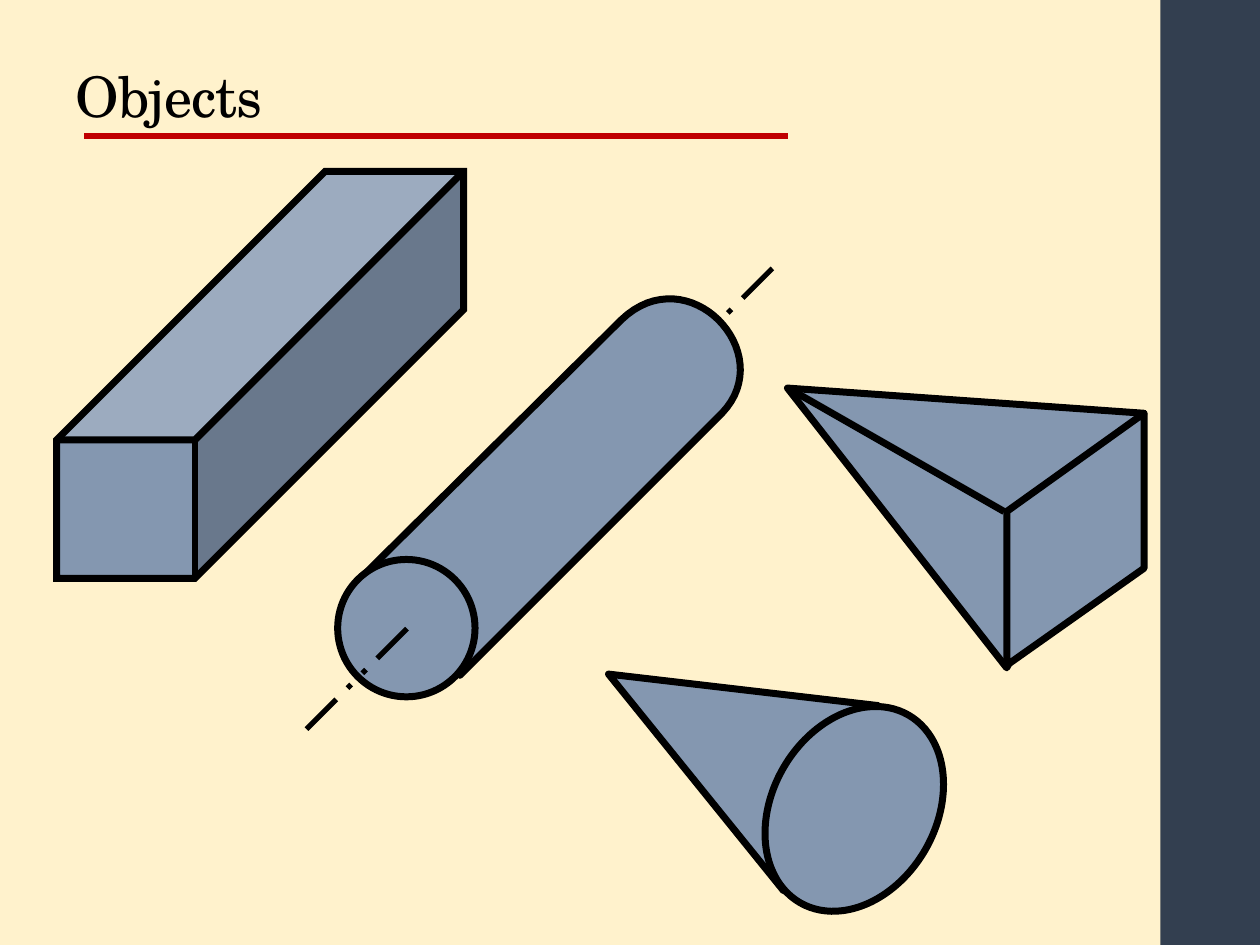
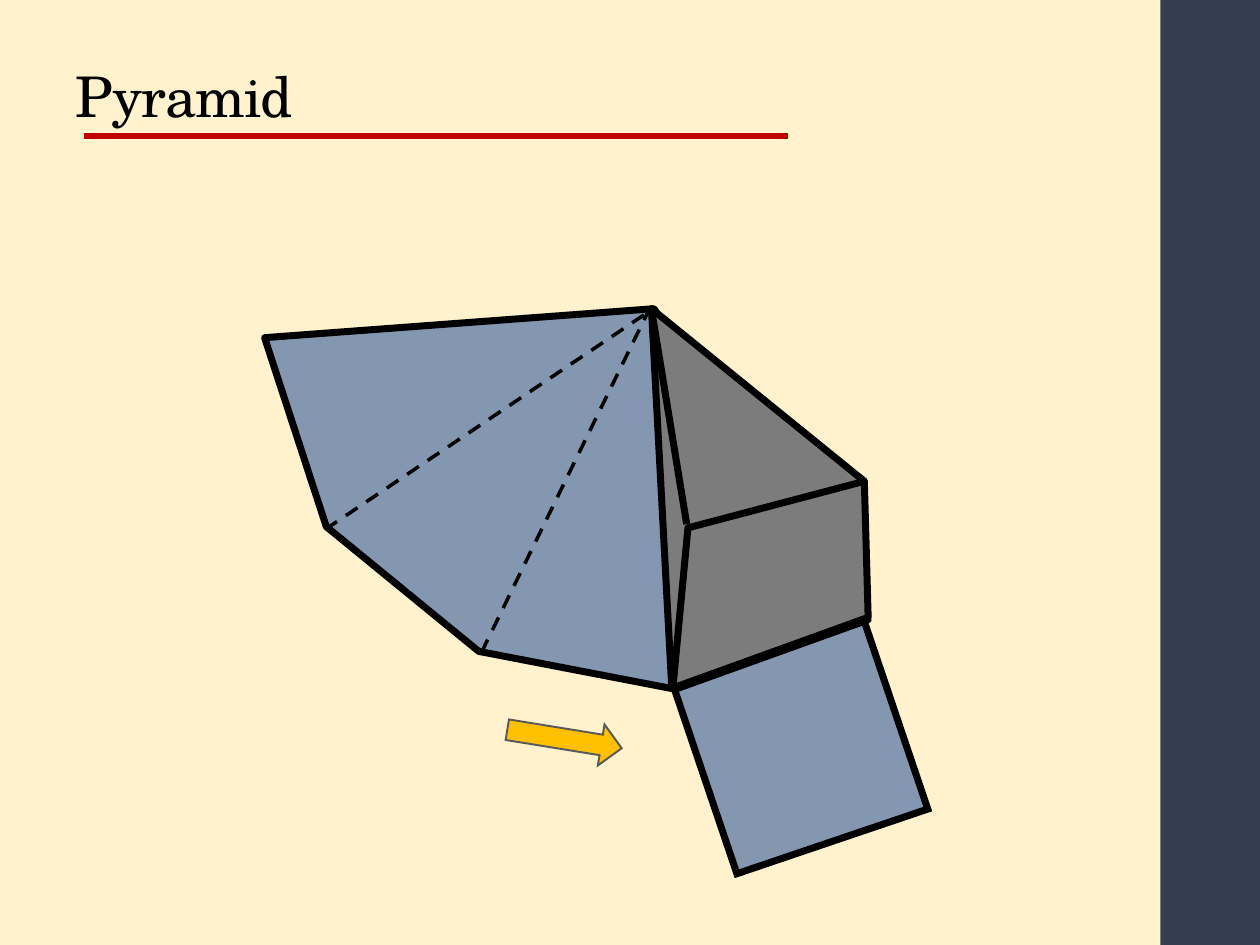
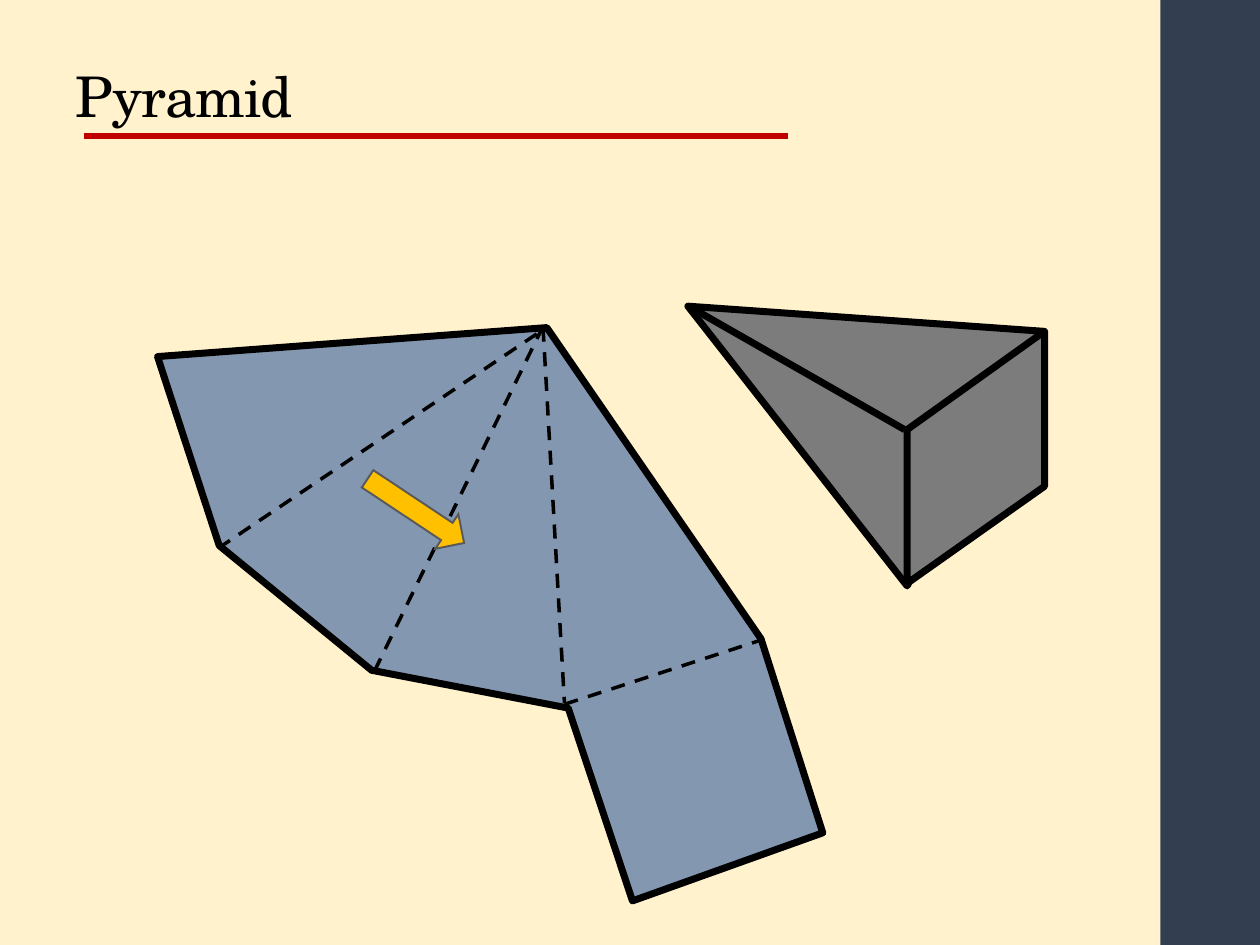
from dataclasses import dataclass
from typing import Any

from lxml.etree import SubElement
from pptx import Presentation
from pptx.dml.color import RGBColor
from pptx.enum.dml import MSO_LINE
from pptx.enum.shapes import MSO_CONNECTOR, MSO_SHAPE
from pptx.enum.text import MSO_ANCHOR, PP_ALIGN
from pptx.oxml.ns import qn
from pptx.util import Inches, Pt

# Grid: 100 columns by 75 rows of square cells
COLUMNS, ROWS = 100, 75
WIDTH, HEIGHT = Inches(10), Inches(7.5)
CELL = WIDTH // COLUMNS

CREAM, NAVY, RED = "FFF2CC", "333F50", "C00000"
BLUE, GREY, GOLD = "8497B0", "7C7C7C", "FFC000"
BLACK, DARK_GREY = "000000", "595959"
TITLE_FONT = "TeX Gyre Schola"
EDGE_WIDTH = 4

Point = tuple[float, float]


@dataclass(frozen=True)
class Frame:
    left: float
    top: float
    width: float
    height: float

    def lengths(self) -> list[int]:
        return [cells(value) for value in (self.left, self.top, self.width, self.height)]


@dataclass(frozen=True)
class Stroke:
    color: str = BLACK
    width: float = EDGE_WIDTH
    dash: Any = None
    join: str = "round"


EDGE = Stroke()
SHARP_EDGE = Stroke(join="miter")
FOLD = Stroke(width=2, dash=MSO_LINE.DASH)
AXIS = Stroke(width=3, dash=MSO_LINE.DASH_DOT_DOT)
RULE = Stroke(RED, 3)
ARROW_EDGE = Stroke(DARK_GREY, 1.1, join="miter")

TITLE_FRAME = Frame(5, 0.8, 79.5, 10)
BAND_FRAME = Frame(92.1, 0, 7.9, ROWS)

# Pyramid net, relative to its apex
NET_FACES = [(-26, 17.3), (-30.9, 2.3), (0, 0), (17, 24.7)]
NET_BASE = [(21.9, 40.1), (6.8, 45.5)]
NET_FOOT = [(1.7, 30.2), (-13.9, 27.2)]
NET_FOLDS = [((-0.8, 0.5), (-25.9, 17.4)),
             ((-0.3, -0.1), (-13.6, 27.1)),
             ((-0.3, 0), (1.4, 29.8))]
BASE_FOLD = ((1.4, 29.9), (17, 24.8))

# Standing pyramid, relative to its apex
PYRAMID_SIDE = [(28.3, 2), (0, 0), (17.4, 22.2)]
PYRAMID_BASE = [(28.3, 2), (17.4, 9.8), (17.4, 22), (28.3, 14.3)]
PYRAMID_RIDGE = ((17.2, 9.8), (0.4, 0.2))


def cells(count: float) -> int:
    return round(count * CELL)


def rgb(color: str) -> RGBColor:
    return RGBColor.from_string(color)


def moved(points: list[Point] | tuple[Point, ...], origin: Point) -> list[Point]:
    return [(origin[0] + x, origin[1] + y) for x, y in points]


def curve(start: Point, first: Point, second: Point, end: Point, steps: int = 32) -> list[Point]:
    """Points along a cubic Bezier curve."""
    points = []
    for step in range(steps + 1):
        t = step / steps
        weights = ((1 - t) ** 3, 3 * t * (1 - t) ** 2, 3 * t * t * (1 - t), t ** 3)
        x, y = (sum(weight * point[axis] for weight, point
                    in zip(weights, (start, first, second, end))) for axis in (0, 1))
        points.append((x, y))
    return points


# Drawing tools
def set_stroke(shape: Any, stroke: Stroke) -> None:
    shape.line.color.rgb = rgb(stroke.color)
    shape.line.width = Pt(stroke.width)
    if stroke.dash is not None:
        shape.line.dash_style = stroke.dash
    outline = shape.element.spPr.find(qn("a:ln"))
    join = SubElement(outline, qn(f"a:{stroke.join}"))
    if stroke.join == "miter":
        join.set("lim", "800000")


def set_look(shape: Any, fill: str, stroke: Stroke | None) -> None:
    shape.shadow.inherit = False
    shape.fill.solid()
    shape.fill.fore_color.rgb = rgb(fill)
    if stroke is None:
        shape.line.fill.background()
    else:
        set_stroke(shape, stroke)


def draw_shape(shapes: Any, kind: MSO_SHAPE, frame: Frame, fill: str,
               stroke: Stroke | None = SHARP_EDGE, rotation: float = 0) -> Any:
    shape = shapes.add_shape(kind, *frame.lengths())
    set_look(shape, fill, stroke)
    shape.rotation = rotation
    return shape


def draw_polygon(shapes: Any, points: list[Point], fill: str) -> None:
    start, *rest = [(cells(x), cells(y)) for x, y in points]
    builder = shapes.build_freeform(*start)
    builder.add_line_segments(rest, close=True)
    set_look(builder.convert_to_shape(), fill, EDGE)


def draw_line(shapes: Any, start: Point, end: Point, stroke: Stroke) -> Any:
    ends = [cells(value) for value in (*start, *end)]
    line = shapes.add_connector(MSO_CONNECTOR.STRAIGHT, *ends)
    set_stroke(line, stroke)
    SubElement(line.element.spPr, qn("a:effectLst"))
    return line


def draw_arrow(shapes: Any, left: float, top: float, rotation: float) -> None:
    draw_shape(shapes, MSO_SHAPE.RIGHT_ARROW, Frame(left, top, 9.2, 3.3),
               GOLD, ARROW_EDGE, rotation)


def draw_pyramid(shapes: Any, apex: Point, fill: str) -> None:
    draw_polygon(shapes, moved(PYRAMID_SIDE, apex), fill)
    draw_line(shapes, *moved(PYRAMID_RIDGE, apex), EDGE)
    draw_polygon(shapes, moved(PYRAMID_BASE, apex), fill)


def draw_net(shapes: Any, apex: Point, with_base: bool) -> None:
    outline = NET_FACES + (NET_BASE if with_base else []) + NET_FOOT
    draw_polygon(shapes, moved(outline, apex), BLUE)
    for fold in NET_FOLDS + ([BASE_FOLD] if with_base else []):
        draw_line(shapes, *moved(fold, apex), FOLD)


# Shared page parts
def add_page(deck: Any, title: str) -> Any:
    page = deck.slides.add_slide(deck.slide_layouts[5])
    box = page.shapes.title
    box.left, box.top, box.width, box.height = TITLE_FRAME.lengths()
    frame = box.text_frame
    frame.text = title
    frame.word_wrap = True
    frame.vertical_anchor = MSO_ANCHOR.BOTTOM
    para = frame.paragraphs[0]
    para.alignment = PP_ALIGN.LEFT
    para.line_spacing = 0.9
    span = para.runs[0]
    span.font.name = TITLE_FONT
    span.font.size = Pt(32)
    span.font.color.rgb = rgb(BLACK)
    span.font._element.set("spc", "-50")
    return page


def decorate_layout(deck: Any) -> None:
    """Give the layout its background, side band and title rule."""
    page = deck.slides[0]
    layout = page.slide_layout
    layout.background.fill.solid()
    layout.background.fill.fore_color.rgb = rgb(CREAM)
    band = draw_shape(page.shapes, MSO_SHAPE.RECTANGLE, BAND_FRAME, NAVY, None)
    rule = draw_line(page.shapes, (6.7, 10.8), (62.5, 10.8), RULE)
    for part in (rule, band):
        layout.shapes.element.insert(2, part.element)


# Slides
def add_objects(deck: Any) -> None:
    shapes = add_page(deck, "Objects").shapes
    bar = draw_shape(shapes, MSO_SHAPE.CUBE, Frame(4.5, 13.6, 32.3, 32.3), BLUE)
    bar.adjustments[0] = 0.66

    # Cylinder with its axis
    draw_line(shapes, (61.3, 21.3), (52.9, 29.7), AXIS)
    far_end = curve((49.3, 25.4), (54.6, 20.3), (61.9, 28), (57.3, 32.8))
    draw_polygon(shapes, [(28.2, 46.3), *far_end, (36.5, 53.6)], BLUE)
    draw_shape(shapes, MSO_SHAPE.OVAL, Frame(26.8, 44.4, 10.9, 10.9), BLUE)
    draw_line(shapes, (32.3, 49.9), (23.9, 58.3), AXIS)

    draw_pyramid(shapes.add_group_shape().shapes, (62.5, 30.8), BLUE)

    cone = shapes.add_group_shape().shapes
    draw_polygon(cone, [(69.7, 56), (48.3, 53.5), (62.2, 70.7)], BLUE)
    draw_shape(cone, MSO_SHAPE.OVAL, Frame(61.3, 55.6, 13, 17.2), BLUE, rotation=30)


def add_wrapping(deck: Any) -> None:
    shapes = add_page(deck, "Pyramid").shapes
    draw_shape(shapes, MSO_SHAPE.RECTANGLE, Frame(55.5, 51.2, 16, 16), BLUE, rotation=341.3)
    draw_net(shapes, (51.9, 24.5), with_base=False)

    # Turned pyramid
    apex, corner = (51.7, 24.5), (68.6, 38.2)
    draw_polygon(shapes, [corner, apex, (53.3, 54.3)], GREY)
    draw_line(shapes, (54.5, 41.6), apex, EDGE)
    draw_polygon(shapes, [corner, (54.6, 41.9), (53.4, 54.6), (68.9, 49)], GREY)

    draw_arrow(shapes, 40.2, 57, 9.2)


def add_unfolded(deck: Any) -> None:
    shapes = add_page(deck, "Pyramid").shapes
    draw_pyramid(shapes, (54.6, 24.3), GREY)
    net = shapes.add_group_shape().shapes
    draw_net(net, (43.4, 26), with_base=True)
    draw_arrow(net, 28.4, 38.9, 33.6)


def main() -> None:
    deck = Presentation()
    deck.slide_width, deck.slide_height = WIDTH, HEIGHT
    add_objects(deck)
    add_wrapping(deck)
    add_unfolded(deck)
    decorate_layout(deck)
    deck.save("out.pptx")


if __name__ == "__main__":
    main()
